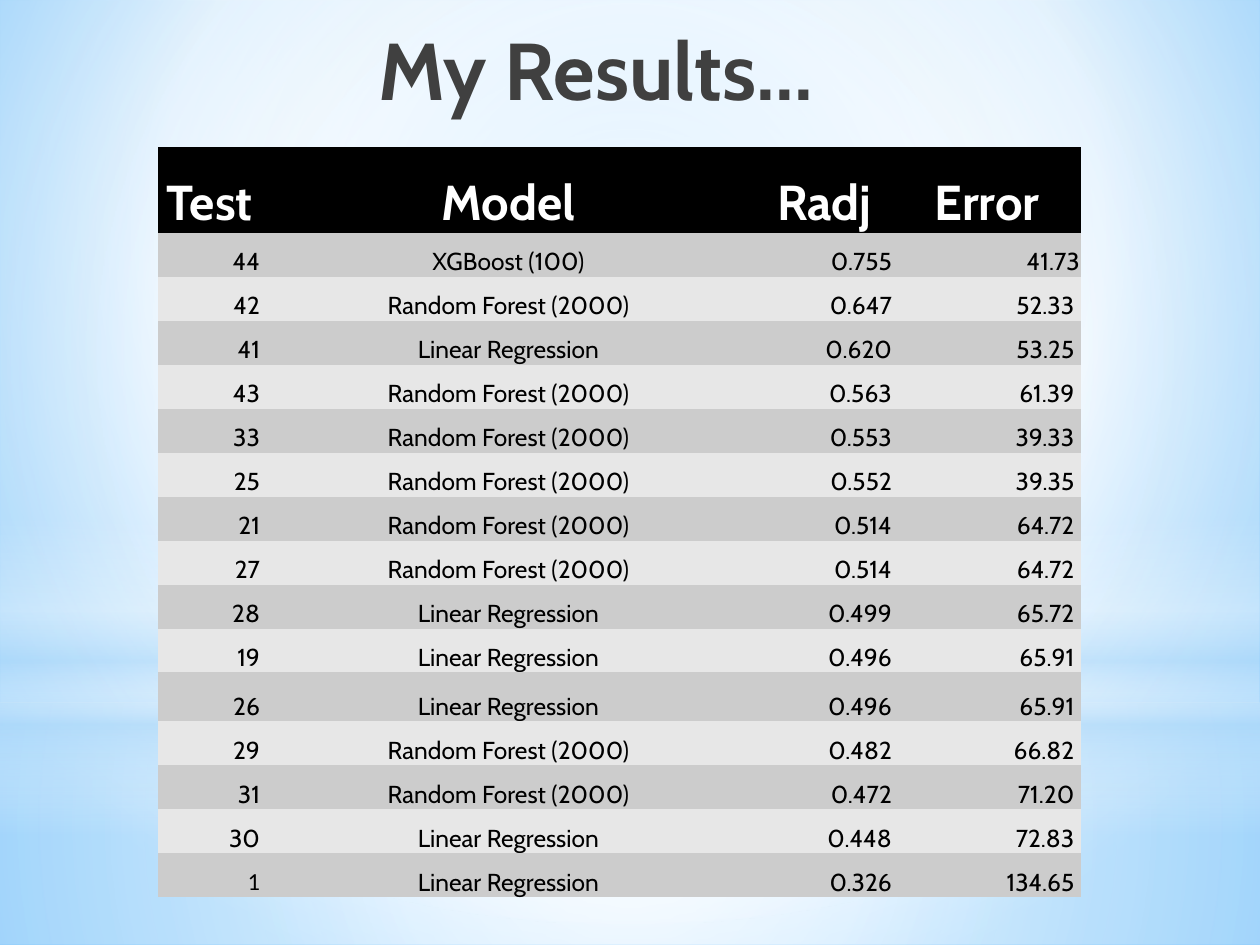
"""Build the slide that ranks test models by adjusted R and error."""
from typing import NamedTuple

from pptx import Presentation
from pptx.dml.color import RGBColor
from pptx.enum.shapes import MSO_SHAPE
from pptx.enum.text import MSO_ANCHOR, PP_ALIGN
from pptx.oxml import parse_xml
from pptx.oxml.ns import nsdecls, qn
from pptx.util import Emu, Pt

RECTANGLE, OVAL = MSO_SHAPE.RECTANGLE, MSO_SHAPE.OVAL
TOP, BOTTOM = MSO_ANCHOR.TOP, MSO_ANCHOR.BOTTOM
CENTER, RIGHT = PP_ALIGN.CENTER, PP_ALIGN.RIGHT
EMU_PER_PIXEL = 914400 / 126
WIDTH, HEIGHT = 1260, 945
TITLE_ONLY_LAYOUT = 5
PLAIN_TABLE_STYLE = "{2D5ABB26-0587-4C30-8999-92F81FD0307C}"
FONT, LAST_TEST_FONT = "Cabin", "Calibri"
COLORS = {
    "title": "404040", "header": "000000", "header_text": "FFFFFF",
    "text": "000000", "odd_row": "CCCCCC", "even_row": "E7E7E7",
    "white": "FFFFFF", "haze": "B4DCFA", "sky": "9ED5FF", "deep_sky": "5BB9FF",
}


class Stop(NamedTuple):
    position: int
    color: str
    opacity: int = 100


class Glow(NamedTuple):
    preset: MSO_SHAPE
    top: int
    height: int
    stops: list[Stop]
    radial: bool = True


class Result(NamedTuple):
    test: str
    model: str
    adjusted: str
    error: str


BACKGROUND_STOPS = [Stop(0, "sky"), Stop(60, "white"), Stop(100, "deep_sky")]
GLOWS = [
    Glow(RECTANGLE, 703, 242,
         [Stop(0, "white", 91), Stop(37, "white", 76), Stop(100, "haze", 79)]),
    Glow(RECTANGLE, 0, 703,
         [Stop(0, "white", 89), Stop(48, "white", 62), Stop(100, "haze", 79)]),
    Glow(RECTANGLE, 519, 315,
         [Stop(0, "white", 0), Stop(29, "white", 30), Stop(45, "haze", 40),
          Stop(55, "white", 26), Stop(65, "haze", 60), Stop(100, "white", 0)], False),
    Glow(OVAL, 221, 703, [Stop(0, "white"), Stop(56, "white", 0)]),
]
FOREST, LINEAR = "Random Forest (2000)", "Linear Regression"
HEADER = Result("Test", "Model", "Radj", " Error ")
RESULTS = [
    Result("44", "XGBoost (100)", "0.755", "41.73"),
    Result("42", FOREST, "0.647", "52.33 "),
    Result("41", LINEAR, "0.620", "53.25 "),
    Result("43", FOREST, "0.563", "61.39 "),
    Result("33", FOREST, "0.553", "39.33 "),
    Result("25", FOREST, "0.552", "39.35 "),
    Result("21", FOREST, "0.514", "64.72 "),
    Result("27", FOREST, "0.514", "64.72 "),
    Result("28", LINEAR, "0.499", "65.72 "),
    Result("19", LINEAR, "0.496", "65.91 "),
    Result("26", LINEAR, "0.496", "65.91 "),
    Result("29", FOREST, "0.482", "66.82 "),
    Result("31", FOREST, "0.472", "71.20 "),
    Result("30", LINEAR, "0.448", "72.83 "),
    Result("1", LINEAR, "0.326", "134.65 "),
]
COLUMN_WIDTHS = [103, 495, 137, 188]
HEADER_HEIGHT, ROW_HEIGHT, TALL_ROW_HEIGHT, TALL_ROW = 86, 44, 49, 11
ROW_HEIGHTS = [HEADER_HEIGHT] + [
    TALL_ROW_HEIGHT if row == TALL_ROW else ROW_HEIGHT
    for row in range(1, len(RESULTS) + 1)
]
MODEL_COLUMN = 1


def px(pixels: int) -> Emu:
    return Emu(round(pixels * EMU_PER_PIXEL))


def set_gradient(element, stops: list[Stop], center: tuple | None) -> None:
    stop_xml = "".join(
        f'<a:gs pos="{stop.position * 1000}"><a:srgbClr val="{COLORS[stop.color]}">'
        f'<a:alpha val="{stop.opacity * 1000}"/></a:srgbClr></a:gs>'
        for stop in stops
    )
    if center:
        left, top, right, bottom = (percent * 1000 for percent in center)
        direction = (f'<a:path path="circle"><a:fillToRect l="{left}" t="{top}" '
                     f'r="{right}" b="{bottom}"/></a:path>')
    else:
        direction = '<a:lin ang="5400000" scaled="0"/>'
    gradient = element.find(".//" + qn("a:gradFill"))
    gradient.getparent().replace(gradient, parse_xml(
        f'<a:gradFill {nsdecls("a")} rotWithShape="1"><a:gsLst>{stop_xml}</a:gsLst>'
        f'{direction}</a:gradFill>'))


def format_text(paragraph, size: int, color: str, bold: bool, alignment: PP_ALIGN,
                font_name: str = FONT) -> None:
    paragraph.alignment = alignment
    for run in paragraph.runs:
        run.font.name = font_name
        run.font.size = Pt(size)
        run.font.bold = bold
        run.font.color.rgb = RGBColor.from_string(COLORS[color])


def draw_glow(slide, glow: Glow) -> None:
    shape = slide.shapes.add_shape(glow.preset, 0, px(glow.top), px(WIDTH), px(glow.height))
    shape.shadow.inherit = False
    shape.line.fill.background()
    shape.fill.gradient()
    set_gradient(shape.element, glow.stops, (50, 50, 50, 50) if glow.radial else None)


def draw_title(slide) -> None:
    title = slide.shapes.title
    slide.shapes.element.append(title.element)
    title.left, title.top, title.width, title.height = px(147), px(10), px(897), px(157)
    text_frame = title.text_frame
    text_frame.text = "My Results…"
    text_frame.vertical_anchor = TOP
    text_frame.margin_top = px(10)
    format_text(text_frame.paragraphs[0], 46, "title", True, CENTER)


def fill_cell(cell, text: str, row: int, column: int) -> None:
    is_header = row == 0
    fill_name = "header" if is_header else "odd_row" if row % 2 else "even_row"
    cell.fill.solid()
    cell.fill.fore_color.rgb = RGBColor.from_string(COLORS[fill_name])
    cell.vertical_anchor = BOTTOM
    cell.margin_left = cell.margin_right = cell.margin_top = px(1)
    cell.margin_bottom = 0
    cell.text_frame.text = text
    is_last_test = row == len(RESULTS) and column == 0
    format_text(cell.text_frame.paragraphs[0], 28 if is_header else 14,
                "header_text" if is_header else "text", is_header,
                CENTER if is_header or column == MODEL_COLUMN else RIGHT,
                LAST_TEST_FONT if is_last_test else FONT)


def draw_table(slide) -> None:
    records = [HEADER, *RESULTS]
    frame = slide.shapes.add_table(len(records), len(COLUMN_WIDTHS), px(158), px(147),
                                   px(sum(COLUMN_WIDTHS)), px(sum(ROW_HEIGHTS)))
    frame.element.find(".//" + qn("a:tableStyleId")).text = PLAIN_TABLE_STYLE
    table = frame.table
    for column, width in zip(table.columns, COLUMN_WIDTHS):
        column.width = px(width)
    for row, record in enumerate(records):
        table.rows[row].height = px(ROW_HEIGHTS[row])
        for column, text in enumerate(record):
            fill_cell(table.cell(row, column), text, row, column)


def main() -> None:
    presentation = Presentation()
    presentation.slide_width, presentation.slide_height = px(WIDTH), px(HEIGHT)
    slide = presentation.slides.add_slide(presentation.slide_layouts[TITLE_ONLY_LAYOUT])
    slide.background.fill.gradient()
    set_gradient(slide.element, BACKGROUND_STOPS, (20, 10, 20, 60))
    for glow in GLOWS:
        draw_glow(slide, glow)
    draw_title(slide)
    draw_table(slide)
    presentation.save("out.pptx")


main()
